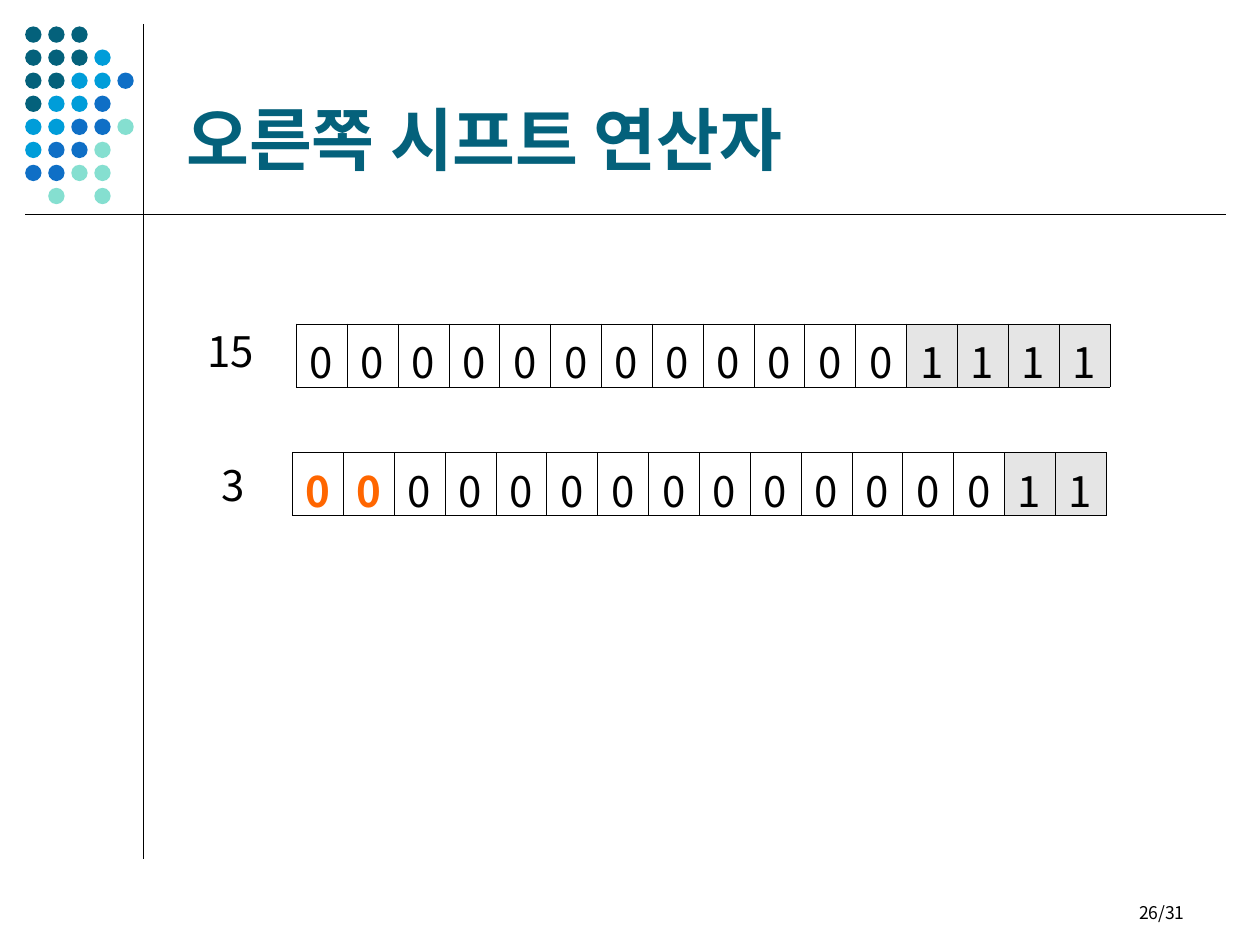
from lxml.etree import SubElement
from pptx import Presentation
from pptx.dml.color import RGBColor
from pptx.enum.shapes import MSO_CONNECTOR, MSO_SHAPE
from pptx.enum.text import MSO_ANCHOR as Anchor, PP_ALIGN as Align
from pptx.oxml.ns import qn
from pptx.util import Inches, Pt

BLACK = RGBColor(0x00, 0x00, 0x00)
TEAL = RGBColor(0x04, 0x61, 0x7B)
ORANGE = RGBColor(0xFF, 0x66, 0x00)
GRAY = RGBColor(0xE5, 0xE5, 0xE5)
DOT_COLORS = {
    "T": TEAL,
    "S": RGBColor(0x00, 0x9D, 0xD9),
    "B": RGBColor(0x0F, 0x6F, 0xC6),
    "M": RGBColor(0x85, 0xDF, 0xD0),
}
BODY_FONT = "Noto Sans CJK KR"
TITLE_FONT = "Noto Sans"

TITLE = "오른쪽 시프트 연산자"
PAGE = "26/31"
DOT_ROWS = ["TTT", "TTTS", "TTSSB", "TSSB", "SSBBM", "SBBM", "BBMM", " M M"]
RULES = [((1.14, 0.19), (1.14, 6.82)), ((0.2, 1.7), (9.73, 1.7))]
REGISTERS = [
    {"value": "15", "bits": "0000000000001111", "shifted_in": 0,
     "label_at": (1.55, 2.53), "at": (2.35, 2.57)},
    {"value": "3", "bits": "0000000000000011", "shifted_in": 2,
     "label_at": (1.66, 3.6), "at": (2.32, 3.59)},
]
DOT_LEFT, DOT_TOP, DOT_PITCH, DOT_SIZE = 0.2, 0.21, 0.183, 0.13
REGISTER_WIDTH, REGISTER_HEIGHT = 6.46, 0.5
BORDER_WIDTH = Pt(0.06)


def style(paragraph, size, color=BLACK, bold=False, font=BODY_FONT, align=Align.LEFT):
    paragraph.alignment = align
    paragraph.font.size = Pt(size)
    paragraph.font.name = font
    paragraph.font.bold = bold
    paragraph.font.color.rgb = color


def add_text(slide, text, box, size, anchor=Anchor.MIDDLE, **look):
    frame = slide.shapes.add_textbox(*map(Inches, box)).text_frame
    frame.word_wrap = True
    frame.vertical_anchor = anchor
    frame.text = text
    style(frame.paragraphs[0], size, **look)


def add_rule(slide, start, end):
    rule = slide.shapes.add_connector(
        MSO_CONNECTOR.STRAIGHT, *map(Inches, start + end))
    rule.line.color.rgb = BLACK
    rule.line.width = Pt(0.75)
    SubElement(rule._element.spPr, qn("a:effectLst"))


def add_dots(slide):
    for row, colors in enumerate(DOT_ROWS):
        for column, key in enumerate(colors):
            if key == " ":
                continue
            dot = slide.shapes.add_shape(
                MSO_SHAPE.OVAL,
                Inches(DOT_LEFT + column * DOT_PITCH),
                Inches(DOT_TOP + row * DOT_PITCH),
                Inches(DOT_SIZE), Inches(DOT_SIZE))
            dot.shadow.inherit = False
            dot.fill.solid()
            dot.fill.fore_color.rgb = DOT_COLORS[key]
            dot.line.fill.background()


def set_borders(cell):
    properties = cell._tc.get_or_add_tcPr()
    for position, side in enumerate(("a:lnL", "a:lnR", "a:lnT", "a:lnB")):
        border = properties.makeelement(qn(side), {"w": str(BORDER_WIDTH)})
        fill = SubElement(border, qn("a:solidFill"))
        SubElement(fill, qn("a:srgbClr"), val=str(BLACK))
        properties.insert(position, border)


def add_register(slide, register):
    bits = register["bits"]
    table = slide.shapes.add_table(
        1, len(bits), *map(Inches, register["at"]),
        Inches(REGISTER_WIDTH), Inches(REGISTER_HEIGHT)).table
    table.first_row = table.horz_banding = False
    for column, bit in enumerate(bits):
        cell = table.cell(0, column)
        cell.text = bit
        cell.vertical_anchor = Anchor.MIDDLE
        if bit == "1":
            cell.fill.solid()
            cell.fill.fore_color.rgb = GRAY
        else:
            cell.fill.background()
        set_borders(cell)
        new = column < register["shifted_in"]
        style(cell.text_frame.paragraphs[0], 24, ORANGE if new else BLACK,
              bold=new, align=Align.CENTER)


def main():
    deck = Presentation()
    deck.slide_width, deck.slide_height = Inches(10), Inches(7.5)
    slide = deck.slides.add_slide(deck.slide_layouts[6])
    for start, end in RULES:
        add_rule(slide, start, end)
    add_dots(slide)
    add_text(slide, TITLE, (1.38, 0.21, 8.25, 1.26), 39, Anchor.BOTTOM,
             color=TEAL, bold=True, font=TITLE_FONT)
    for register in REGISTERS:
        add_text(slide, register["value"], register["label_at"] + (0.67, 0.5), 24)
        add_register(slide, register)
    add_text(slide, PAGE, (7.17, 7.11, 2.33, 0.22), 10, Anchor.TOP, align=Align.RIGHT)
    deck.save("out.pptx")


if __name__ == "__main__":
    main()
